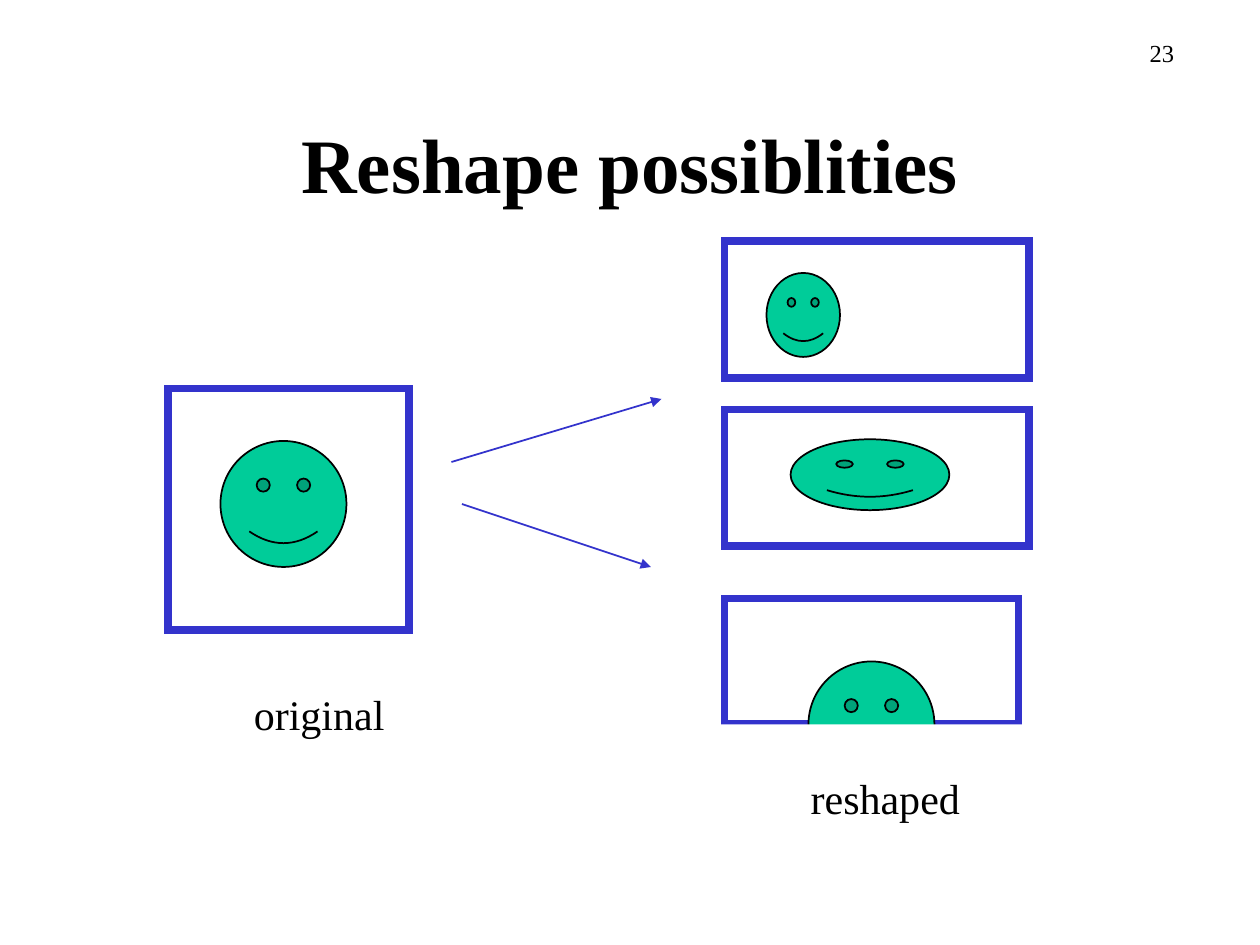
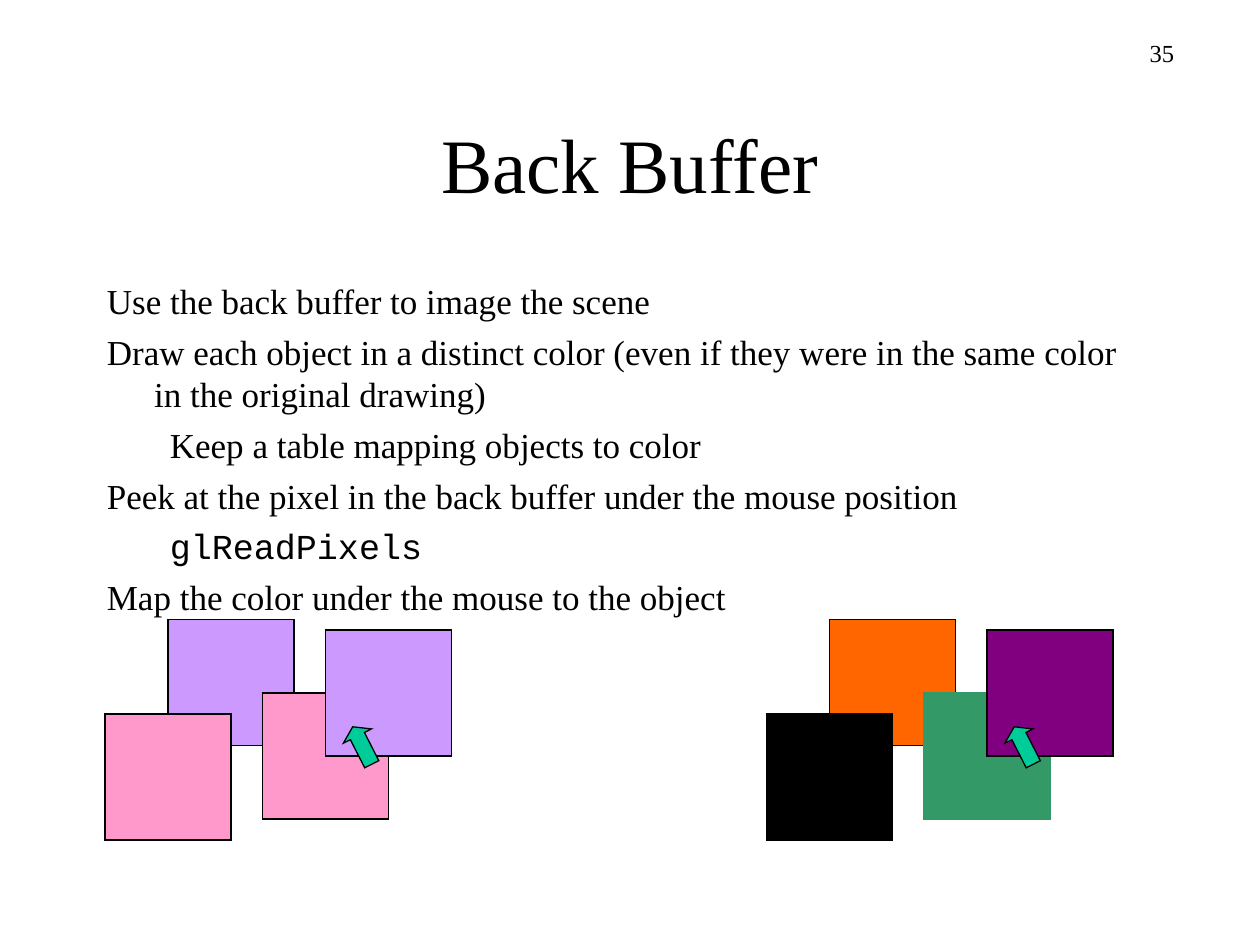
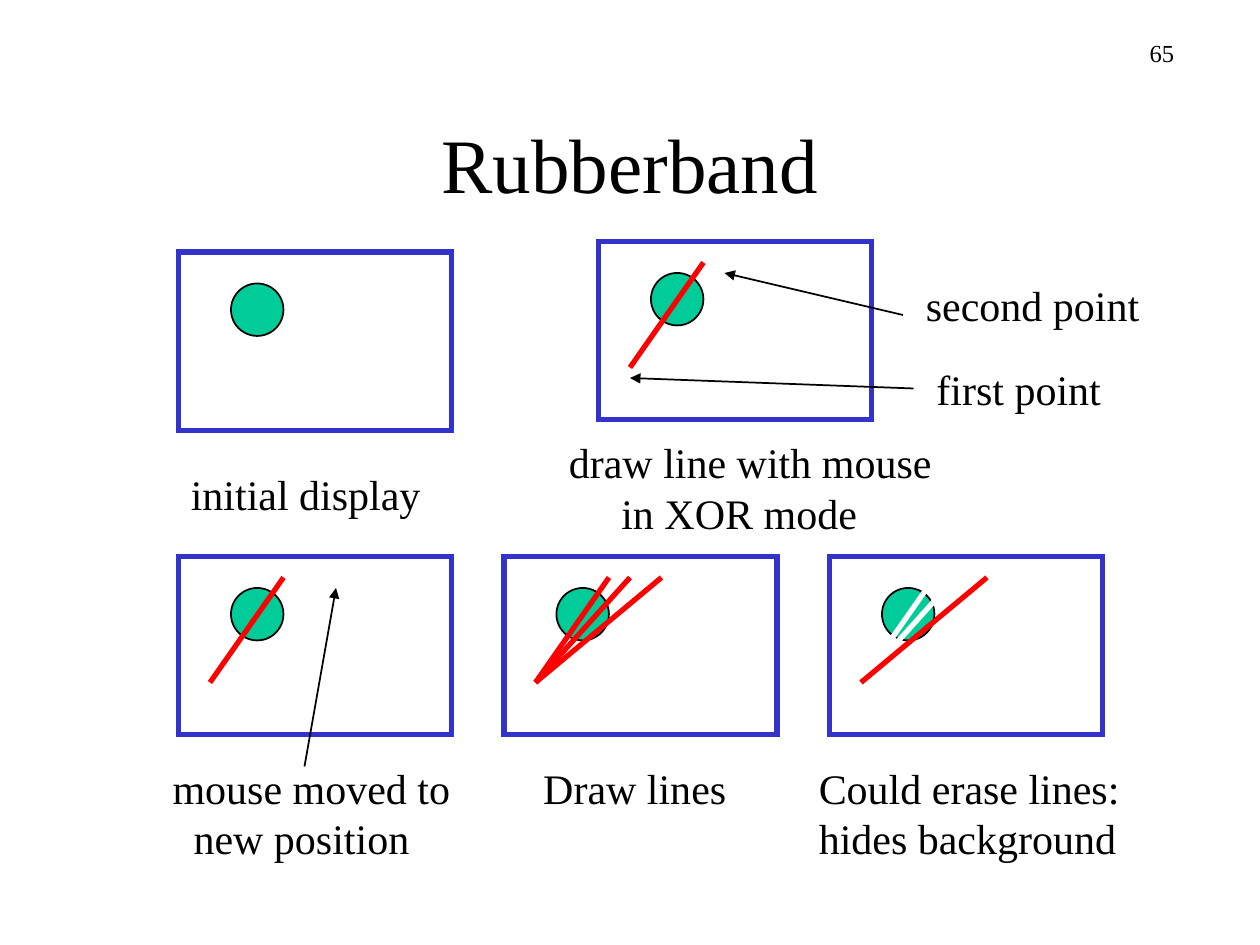
from dataclasses import dataclass
from pptx import Presentation
from pptx.dml.color import RGBColor
from pptx.enum.shapes import MSO_CONNECTOR, MSO_SHAPE
from pptx.enum.text import MSO_ANCHOR, MSO_AUTO_SIZE, PP_ALIGN
from pptx.oxml.ns import qn
from pptx.util import Pt
from lxml.etree import SubElement


@dataclass(frozen=True)
class Theme:
    serif: str = "Times New Roman"
    mono: str = "Courier New"
    title_size: float = 44
    label_size: float = 24
    body_size: float = 20
    number_size: float = 14
    black: str = "000000"
    white: str = "FFFFFF"
    blue: str = "3333CC"
    green: str = "00CC99"
    red: str = "FF0000"
    lilac: str = "CC99FF"
    pink: str = "FF99CC"
    orange: str = "FF6600"
    forest: str = "339966"
    purple: str = "800080"


THEME = Theme()


def apply_format(target, values):
    for name, value in values.items():
        setattr(target, name, value)


def color(value):
    return RGBColor.from_string(value)


def add_text(page, area, lines, size, align=PP_ALIGN.LEFT, bold=False, **frame_format):
    box = page.shapes.add_textbox(*map(Pt, area))
    frame = box.text_frame
    apply_format(frame, {"word_wrap": True, **frame_format})
    for index, line in enumerate(lines):
        para = frame.paragraphs[0] if index == 0 else frame.add_paragraph()
        para.alignment = align
        span = para.add_run()
        span.text = line
        apply_format(span.font, {"name": THEME.serif, "size": Pt(size), "bold": bold})
        span.font.color.rgb = color(THEME.black)
    return frame.paragraphs


def indent(para, margin, first=0):
    properties = para._p.get_or_add_pPr()
    properties.set("marL", str(Pt(margin)))
    properties.set("indent", str(Pt(first)))


def add_label(page, left, top, width, *lines, second_indent=0):
    paras = add_text(page, (left, top, width, 7.2 + 28.8 * len(lines)), lines, THEME.label_size,
                     auto_size=MSO_AUTO_SIZE.SHAPE_TO_FIT_TEXT)
    if second_indent:
        indent(paras[1], second_indent)


def add_figure(page, kind, area, fill, line=THEME.black, width=1.0):
    shape = page.shapes.add_shape(kind, *map(Pt, area))
    shape.shadow.inherit = False
    shape.fill.solid()
    shape.fill.fore_color.rgb = color(fill)
    if line is None:
        shape.line.fill.background()
    else:
        shape.line.color.rgb = color(line)
        shape.line.width = Pt(width)
        SubElement(shape.line._get_or_add_ln(), qn("a:miter"), lim="800000")
    return shape


def add_line(page, start, end, ink, width=1.0, arrow=False):
    line = page.shapes.add_connector(MSO_CONNECTOR.STRAIGHT, *map(Pt, (*start, *end)))
    line.line.color.rgb = color(ink)
    line.line.width = Pt(width)
    if arrow:
        SubElement(line.line._get_or_add_ln(), qn("a:tailEnd"), type="triangle")
    SubElement(line._element.spPr, qn("a:effectLst"))


def add_page(deck, number, title, bold=False):
    page = deck.slides.add_slide(deck.slide_layouts[6])
    add_text(page, (528, 18, 150, 36), [number], THEME.number_size, PP_ALIGN.RIGHT)
    add_text(page, (54, 48, 612, 90), [title], THEME.title_size, PP_ALIGN.CENTER, bold,
             vertical_anchor=MSO_ANCHOR.MIDDLE)
    return page


def add_framed_face(page, frame, face):
    add_figure(page, MSO_SHAPE.RECTANGLE, frame, THEME.white, THEME.blue, 4.5)
    add_figure(page, MSO_SHAPE.SMILEY_FACE, face, THEME.green)


def add_bullets(page, items):
    paras = add_text(page, (54, 156, 612, 324), [text for text, _, _ in items], THEME.body_size)
    for index, (para, (_, level, font)) in enumerate(zip(paras, items)):
        indent(para, *((27, -27), (58.5, -22.5))[level])
        para.level = level
        para.runs[0].font.name = font
        if index:
            para.space_before = Pt(5.1)


def add_scene(page, left, back, middle, front, side, middle_line=THEME.black):
    def square(x, y, fill, line=THEME.black):
        add_figure(page, MSO_SHAPE.RECTANGLE, (left + x, y, 72, 72), fill, line, 0.75)

    square(36, 354, back)
    square(90, 396, middle, middle_line)
    square(126, 360, front)
    cursor = add_figure(page, MSO_SHAPE.RIGHT_ARROW, (left + 135, 417, 24, 18),
                        THEME.green, width=0.75)
    cursor.rotation = 243
    cursor.adjustments[1] = 0.33
    square(0, 408, side)


def add_display(page, left, top, strokes=()):
    add_figure(page, MSO_SHAPE.RECTANGLE, (left, top, 156, 102), THEME.white, THEME.blue, 3)
    add_figure(page, MSO_SHAPE.OVAL, (left + 30, top + 18, 30, 30), THEME.green)
    for reach, ink in strokes:
        add_line(page, (left + 18, top + 72), (left + reach, top + 12), ink, 3)


def build_reshape(deck):
    page = add_page(deck, "23", "Reshape possiblities", bold=True)
    add_framed_face(page, (96, 222, 138, 138), (126, 252, 72, 72))
    add_framed_face(page, (414, 138, 174, 78), (438, 156, 42, 48))
    add_framed_face(page, (414, 234, 174, 78), (451.75, 251, 90.75, 40.5))
    add_framed_face(page, (414, 342, 168, 72), (462, 378, 72, 72))
    add_figure(page, MSO_SHAPE.RECTANGLE, (384, 414, 240, 72), THEME.white, None)
    add_line(page, (258, 264), (378, 228), THEME.blue, arrow=True)
    add_line(page, (264, 288), (372, 324), THEME.blue, arrow=True)
    add_label(page, 138, 390, 92, "original")
    add_label(page, 456.2, 438, 103, "reshaped")


def build_back_buffer(deck):
    page = add_page(deck, "35", "Back Buffer")
    add_bullets(page, [
        ("Use the back buffer to image the scene", 0, THEME.serif),
        ("Draw each object in a distinct color (even if they were in the same color "
         "in the original drawing)", 0, THEME.serif),
        ("Keep a table mapping objects to color", 1, THEME.serif),
        ("Peek at the pixel in the back buffer under the mouse position", 0, THEME.serif),
        ("glReadPixels", 1, THEME.mono),
        ("Map the color under the mouse to the object", 0, THEME.serif),
    ])
    add_scene(page, 60, THEME.lilac, THEME.pink, THEME.lilac, THEME.pink)
    add_scene(page, 438, THEME.orange, THEME.forest, THEME.purple, THEME.black, THEME.forest)


def build_rubberband(deck):
    page = add_page(deck, "65", "Rubberband")
    red, white = THEME.red, THEME.white
    add_display(page, 102, 144)
    add_display(page, 342, 138, [(60, red)])
    steps = ([(60, red)],
             [(60, red), (72, red), (90, red)],
             [(60, white), (72, white), (90, red)])
    for column, strokes in enumerate(steps):
        add_display(page, 102 + 186 * column, 318, strokes)
    for start, end in (((516, 180), (414, 156)),
                       ((522, 222), (360, 216)),
                       ((174, 438), (192, 336))):
        add_line(page, start, end, THEME.black, arrow=True)
    add_label(page, 522, 156, 140, "second point")
    add_label(page, 528, 204, 112, "first point")
    add_label(page, 102, 264, 150, "initial display")
    add_label(page, 318, 246, 232, "draw line with mouse", "in XOR mode", second_indent=30)
    add_label(page, 91.5, 432, 182, "mouse moved to", "new position", second_indent=12)
    add_label(page, 303.3, 432, 123, "Draw lines")
    add_label(page, 460.8, 432, 191, "Could erase lines: hides background")


def main():
    deck = Presentation()
    deck.slide_width, deck.slide_height = Pt(720), Pt(540)
    for build in (build_reshape, build_back_buffer, build_rubberband):
        build(deck)
    deck.save("out.pptx")


if __name__ == "__main__":
    main()
